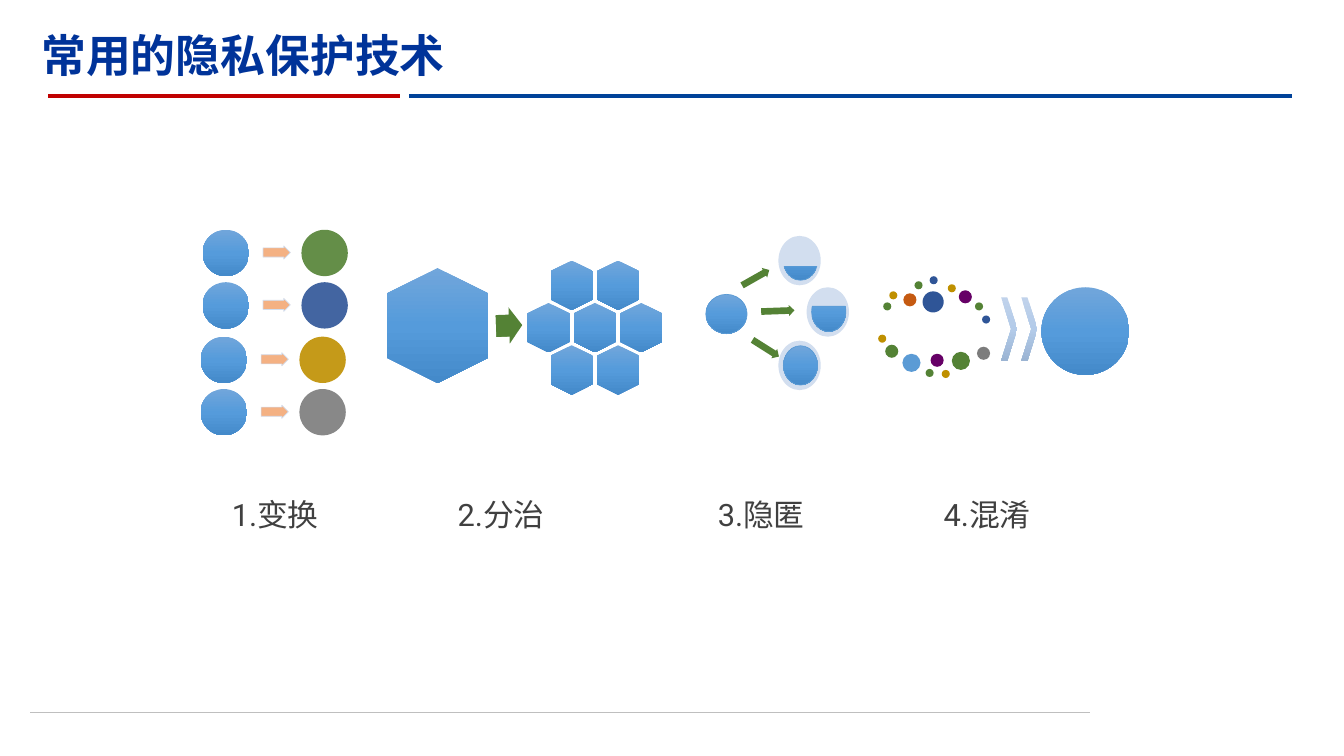
import copy
from dataclasses import dataclass

import pptx
import pptx.util
import pptx.dml.color
import pptx.enum.shapes
import pptx.enum.text
import pptx.oxml
import pptx.oxml.ns

Inches = pptx.util.Inches
Pt = pptx.util.Pt
RGB = pptx.dml.color.RGBColor.from_string
SHAPE = pptx.enum.shapes.MSO_SHAPE
qn = pptx.oxml.ns.qn


@dataclass(frozen=True)
class Theme:
    title_font: str = "Noto Sans CJK SC"
    label_font: str = "Roboto"
    title_size: int = 32
    label_size: int = 22
    title: str = "003399"
    label: str = "404040"
    rule_blue: str = "004299"
    red: str = "C00000"
    hairline: str = "BFBFBF"
    green: str = "548235"
    navy: str = "2F5597"
    gold: str = "BF9000"
    gray: str = "7C7C7C"
    orange: str = "C55A11"
    purple: str = "660066"
    blue: str = "5B9BD5"
    peach: str = "F4B183"
    pale: str = "D2DEEF"
    ball: tuple = ("71A6DB", "559BDB", "448ACA")
    haze: tuple = ("C0D2EB", "B3CBE9", "9BB4D3")


T = Theme()

TITLE = "常用的隐私保护技术"
LABELS = [("1.变换", 2.3), ("2.分治", 4.54), ("3.隐匿", 7.12), ("4.混淆", 9.36)]
RULES = [
    (0.3, 10.81, 7.07, T.hairline, 0.5),
    (4.06, 12.81, 0.95, T.rule_blue, 3),
    (0.48, 3.97, 0.95, T.red, 3),
]
TRANSFORMS = [
    (2.01, 2.28, T.green),
    (2.01, 2.8, T.navy),
    (1.99, 3.34, T.gold),
    (1.99, 3.86, T.gray),
]
HEX_ROWS = [2, 3, 2]
HEX_CENTER, HEX_PITCH, HEX_ROW_PITCH = (5.9, 3.25), 0.46, 0.42
HIDDEN = [
    (7.72, 2.34, (11.68, 96.32)),
    (8, 2.85, (204.32, 119.68)),
    (7.72, 3.38, (162, 162)),
]
HIDE_ARROWS = [
    (7.55, 3.03, 0.33, 358),
    (7.34, 2.7, 0.31, 330.5),
    (7.44, 3.4, 0.31, 32.3),
]
DOTS = [
    (8.76, 3, 0.08, T.green), (8.82, 2.89, 0.08, T.gold),
    (8.96, 2.91, 0.13, T.orange), (9.07, 2.79, 0.08, T.green),
    (9.22, 2.74, 0.08, T.navy), (9.4, 2.82, 0.08, T.gold),
    (9.51, 2.88, 0.13, T.purple), (9.67, 3, 0.08, T.green),
    (9.74, 3.13, 0.08, T.navy), (9.15, 2.89, 0.21, T.navy),
    (8.71, 3.32, 0.08, T.gold), (8.78, 3.42, 0.13, T.green),
    (8.95, 3.51, 0.18, T.blue), (9.18, 3.66, 0.08, T.green),
    (9.23, 3.51, 0.13, T.purple), (9.34, 3.67, 0.08, T.gold),
    (9.44, 3.49, 0.18, T.green), (9.69, 3.44, 0.13, T.gray),
]
CHEVRONS = [9.93, 10.13]


def set_alpha(solid, percent):
    alpha = pptx.oxml.parse_xml(
        f'<a:alpha {pptx.oxml.ns.nsdecls("a")} val="{percent * 1000}"/>')
    solid[0].append(alpha)


def set_gradient(s, colors):
    s.fill.gradient()
    s.fill.gradient_angle = 270
    grad = s._element.spPr.find(qn("a:gradFill"))
    grad.set("rotWithShape", "0")
    stops = grad.find(qn("a:gsLst"))
    stops.insert(1, copy.deepcopy(stops[0]))
    for stop, position, color in zip(s.fill.gradient_stops, (0, 0.5, 1), colors):
        stop.position = position
        stop.color.rgb = RGB(color)


def add_shape(slide, kind, x, y, w, h, fill, adj=(), rot=0, line=None, alpha=None):
    s = slide.shapes.add_shape(kind, Inches(x), Inches(y), Inches(w), Inches(h))
    s.shadow.inherit = False
    s.rotation = rot
    for i, value in enumerate(adj):
        s.adjustments[i] = value
    if isinstance(fill, tuple):
        set_gradient(s, fill)
    else:
        s.fill.solid()
        s.fill.fore_color.rgb = RGB(fill)
        if alpha:
            set_alpha(s._element.spPr.find(qn("a:solidFill")), alpha)
    if line:
        s.line.color.rgb = RGB(line)
        s.line.width = Pt(0.5)
    else:
        s.line.fill.background()
    return s


def add_rule(slide, x1, x2, y, color, width):
    s = slide.shapes.add_connector(
        pptx.enum.shapes.MSO_CONNECTOR.STRAIGHT,
        Inches(x1), Inches(y), Inches(x2), Inches(y))
    s.line.color.rgb = RGB(color)
    s.line.width = Pt(width)
    s._element.spPr.append(pptx.oxml.parse_xml(
        f'<a:effectLst {pptx.oxml.ns.nsdecls("a")}/>'))


def write(tf, text, font, size, color, bold=False):
    tf.word_wrap = True
    tf.auto_size = pptx.enum.text.MSO_AUTO_SIZE.NONE
    p = tf.paragraphs[0]
    p.alignment = pptx.enum.text.PP_ALIGN.LEFT
    r = p.add_run()
    r.text = text
    r.font.name = font
    r.font.size = Pt(size)
    r.font.bold = bold
    r.font.color.rgb = RGB(color)
    r.font._element.find(qn("a:latin")).addnext(pptx.oxml.parse_xml(
        f'<a:ea {pptx.oxml.ns.nsdecls("a")} typeface="{T.title_font}"/>'))


def draw_transform(slide):
    for x, y, color in TRANSFORMS:
        add_shape(slide, SHAPE.RIGHT_ARROW, x + 0.6, y + 0.16, 0.27, 0.13, T.peach,
                  adj=(0.7, 0.5), line=T.pale)
        add_shape(slide, SHAPE.OVAL, x, y, 0.46, 0.46, T.ball)
        add_shape(slide, SHAPE.OVAL, x + 0.98, y, 0.46, 0.46, color, alpha=90)


def draw_divide(slide):
    w, h = 0.49, 0.42
    cx, cy = HEX_CENTER
    for row, count in enumerate(HEX_ROWS):
        y = cy + (row - 1) * HEX_ROW_PITCH
        for col in range(count):
            x = cx + (col - (count - 1) / 2) * HEX_PITCH
            add_shape(slide, SHAPE.HEXAGON, x - w / 2, y - h / 2, w, h, T.ball,
                      adj=(0.25,), rot=90)
    add_shape(slide, SHAPE.HEXAGON, 3.77, 2.73, 1.14, 1, T.ball, adj=(0.25,), rot=90)
    add_shape(slide, SHAPE.RIGHT_ARROW, 4.92, 3.05, 0.26, 0.36, T.green,
              adj=(0.6, 0.5), rot=358)
    add_shape(slide, SHAPE.RECTANGLE, 4.92, 3.13, 0.18, 0.21, T.green, rot=358)


def draw_hide(slide):
    for x, y, angles in HIDDEN:
        add_shape(slide, SHAPE.OVAL, x, y, 0.42, 0.49, T.pale)
        add_shape(slide, SHAPE.CHORD, x + 0.05, y + 0.05, 0.34, 0.39, T.ball,
                  adj=angles, line=T.blue)
    add_shape(slide, SHAPE.CHORD, 7, 2.92, 0.41, 0.39, T.ball,
              adj=(162, 162), line=T.blue)
    for x, y, w, rot in HIDE_ARROWS:
        add_shape(slide, SHAPE.RIGHT_ARROW, x, y, w, 0.11, T.green,
                  adj=(0.6, 0.5), rot=rot)


def draw_mix(slide):
    for x, y, size, color in DOTS:
        add_shape(slide, SHAPE.OVAL, x, y, size, size, color)
    for x in CHEVRONS:
        add_shape(slide, SHAPE.CHEVRON, x, 2.95, 0.16, 0.63, T.haze, adj=(0.62,))
    add_shape(slide, SHAPE.OVAL, 10.33, 2.85, 0.87, 0.87, T.ball)


def main():
    prs = pptx.Presentation()
    prs.slide_width, prs.slide_height = Inches(13.33), Inches(7.5)
    slide = prs.slides.add_slide(prs.slide_layouts[5])
    for rule in RULES:
        add_rule(slide, *rule)
    sp = slide.shapes.title
    sp.left, sp.top, sp.width, sp.height = map(Inches, (0.31, 0.22, 8.92, 0.64))
    sp.text_frame.vertical_anchor = pptx.enum.text.MSO_ANCHOR.TOP
    write(sp.text_frame, TITLE, T.title_font, T.title_size, T.title, bold=True)
    for draw in (draw_transform, draw_divide, draw_hide, draw_mix):
        draw(slide)
    for text, x in LABELS:
        sp = slide.shapes.add_textbox(Inches(x), Inches(4.85), Inches(1.4), Inches(0.5))
        tf = sp.text_frame
        tf.margin_left = tf.margin_right = 0
        tf.vertical_anchor = pptx.enum.text.MSO_ANCHOR.MIDDLE
        write(tf, text, T.label_font, T.label_size, T.label)
    prs.save("out.pptx")


if __name__ == "__main__":
    main()
